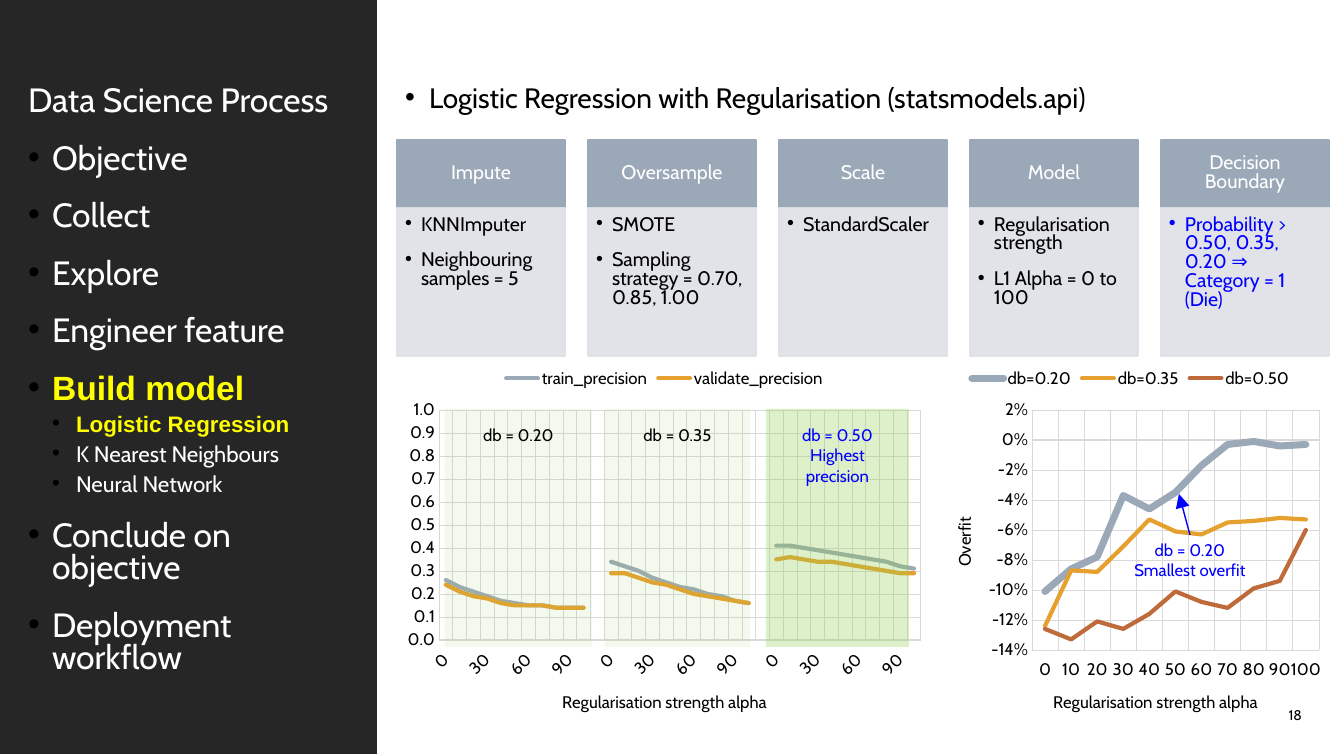
from lxml.etree import SubElement
from pptx import Presentation
from pptx.chart.data import CategoryChartData
from pptx.dml.color import RGBColor
from pptx.enum.chart import XL_CHART_TYPE as ChartType, XL_LEGEND_POSITION as LegendAt
from pptx.enum.chart import XL_TICK_LABEL_POSITION as LabelAt, XL_TICK_MARK as Tick
from pptx.enum.shapes import MSO_CONNECTOR as Connector, MSO_SHAPE as Shape
from pptx.enum.text import MSO_ANCHOR as Anchor, MSO_AUTO_SIZE as AutoSize, PP_ALIGN as Align
from pptx.oxml import parse_xml
from pptx.oxml.ns import nsdecls, qn
from pptx.util import Pt

BLACK = RGBColor(0x00, 0x00, 0x00)
WHITE = RGBColor(0xFF, 0xFF, 0xFF)
CHARCOAL = RGBColor(0x26, 0x26, 0x26)
YELLOW = RGBColor(0xFF, 0xFF, 0x00)
BLUE = RGBColor(0x00, 0x00, 0xFF)
SLATE = RGBColor(0x9B, 0xA8, 0xB7)
PALE = RGBColor(0xDE, 0xE1, 0xE6)
AMBER = RGBColor(0xE6, 0xA0, 0x2E)
RUST = RGBColor(0xBF, 0x6A, 0x3B)
GREEN = RGBColor(0x92, 0xD0, 0x50)
GRID = RGBColor(0xD9, 0xD9, 0xD9)

PLAIN = dict(name="Cabin", color=WHITE, bold=False)
CURRENT = dict(name="Arial", color=YELLOW, bold=True)
STEP = dict(size=24, level=0, indent=24, hang=24, after=18, spacing=0.8)
SUBSTEP = dict(size=16, level=1, indent=48, hang=24, after=6, spacing=0.8)
PROCESS = [
    ("Data Science Process", {**STEP, **PLAIN, "indent": 0, "hang": 0}),
    ("Objective", {**STEP, **PLAIN}),
    ("Collect", {**STEP, **PLAIN}),
    ("Explore", {**STEP, **PLAIN}),
    ("Engineer feature", {**STEP, **PLAIN}),
    ("Build model", {**STEP, **CURRENT, "after": 6}),
    ("Logistic Regression", {**SUBSTEP, **CURRENT}),
    ("K Nearest Neighbours", {**SUBSTEP, **PLAIN}),
    ("Neural Network", {**SUBSTEP, **PLAIN, "after": 18}),
    ("Conclude on objective", {**STEP, **PLAIN}),
    ("Deployment workflow", {**STEP, **PLAIN}),
]
HEADLINE = "Logistic Regression with Regularisation (statsmodels.api)"
STAGES = [
    ("Impute", ["KNNImputer", "Neighbouring samples = 5"], BLACK),
    ("Oversample", ["SMOTE", "Sampling strategy = 0.70, 0.85, 1.00"], BLACK),
    ("Scale", ["StandardScaler"], BLACK),
    ("Model", ["Regularisation strength", "L1 Alpha = 0 to 100"], BLACK),
    ("Decision Boundary", ["Probability > 0.50, 0.35, 0.20 ⇒ Category = 1 (Die)"], BLUE),
]
ALPHAS = [str(alpha) for alpha in range(0, 101, 10)]
ALPHA_TITLE = "Regularisation strength alpha"
PRECISION = [
    ("train_precision", SLATE, 3, [
        0.26, 0.23, 0.21, 0.19, 0.17, 0.16, 0.15, 0.15, 0.14, 0.14, 0.14, None,
        0.34, 0.32, 0.3, 0.27, 0.25, 0.23, 0.22, 0.2, 0.19, 0.17, 0.16, None,
        0.41, 0.41, 0.4, 0.39, 0.38, 0.37, 0.36, 0.35, 0.34, 0.32, 0.31]),
    ("validate_precision", AMBER, 3, [
        0.24, 0.21, 0.19, 0.18, 0.16, 0.15, 0.15, 0.15, 0.14, 0.14, 0.14, None,
        0.29, 0.29, 0.27, 0.25, 0.24, 0.22, 0.2, 0.19, 0.18, 0.17, 0.16, None,
        0.35, 0.36, 0.35, 0.34, 0.34, 0.33, 0.32, 0.31, 0.3, 0.29, 0.29]),
]
OVERFIT = [
    ("db=0.20", SLATE, 5, [-0.101, -0.086, -0.078, -0.037, -0.046, -0.035,
                           -0.017, -0.003, -0.001, -0.004, -0.003]),
    ("db=0.35", AMBER, 3, [-0.124, -0.087, -0.088, -0.071, -0.053, -0.061,
                           -0.063, -0.055, -0.054, -0.052, -0.053]),
    ("db=0.50", RUST, 3, [-0.126, -0.133, -0.121, -0.126, -0.116, -0.101,
                          -0.108, -0.112, -0.099, -0.094, -0.06]),
]
BANDS = [
    (445, 147, 10, ["db = 0.20"], BLACK),
    (605, 145, 10, ["db = 0.35"], BLACK),
    (766, 143, 30, ["db = 0.50", "Highest precision"], BLUE),
]
SMALLEST = ["db = 0.20", "Smallest overfit"]


def px(length):
    return round(length * 914400 / 100.8)


def assign(target, values):
    for key, value in values.items():
        setattr(target, key, value)


def style_font(font, size, color=BLACK, name="Cabin", bold=False):
    assign(font, dict(size=Pt(size), name=name, bold=bold))
    font.color.rgb = color


def write(shape, lines, inset=8, anchor=Anchor.TOP):
    frame = shape.text_frame
    margins = {f"margin_{side}": px(inset) for side in ("left", "top", "right", "bottom")}
    assign(frame, dict(word_wrap=True, auto_size=AutoSize.NONE, vertical_anchor=anchor, **margins))
    for number, (words, look) in enumerate(lines):
        paragraph = frame.add_paragraph() if number else frame.paragraphs[0]
        hang = look.get("hang", 0)
        assign(paragraph, dict(
            alignment=look.get("align", Align.LEFT), level=look.get("level", 0),
            line_spacing=look.get("spacing", 1.0), space_before=Pt(0),
            space_after=Pt(look.get("after", 0))))
        properties = paragraph._p.get_or_add_pPr()
        properties.set("marL", str(px(look.get("indent", 0))))
        properties.set("indent", str(px(-hang)))
        if hang:
            tint = SubElement(properties, qn("a:buClr"))
            SubElement(tint, qn("a:srgbClr"), val=str(look.get("bullet", BLACK)))
            SubElement(properties, qn("a:buFont"), typeface="Arial")
            SubElement(properties, qn("a:buChar"), char="•")
        else:
            SubElement(properties, qn("a:buNone"))
        run = paragraph.add_run()
        run.text = words
        style_font(run.font, look["size"], look["color"], look.get("name", "Cabin"), look.get("bold", False))


def add_box(box, fill, outlined=False, opacity=100):
    shape = slide.shapes.add_shape(Shape.RECTANGLE, *map(px, box))
    shape.shadow.inherit = False
    shape.fill.solid()
    shape.fill.fore_color.rgb = fill
    if outlined:
        shape.line.color.rgb = fill
        shape.line.width = Pt(1.25)
    else:
        shape.line.fill.background()
    if opacity < 100:
        for tint in shape._element.spPr.iter(qn("a:srgbClr")):
            SubElement(tint, qn("a:alpha"), val=str(opacity * 1000))
    return shape


def place(part, index, fractions, inner=False):
    for old in part.findall(qn("c:layout")):
        part.remove(old)
    target = '<c:layoutTarget val="inner"/>' if inner else ""
    modes = "".join(f'<c:{key}Mode val="edge"/>' for key in "xy")
    values = "".join(f'<c:{key} val="{value:.4f}"/>' for key, value in zip("xywh", fractions))
    part.insert(index, parse_xml(
        f'<c:layout {nsdecls("c")}><c:manualLayout>{target}{modes}{values}</c:manualLayout></c:layout>'))


def add_line_chart(box, plot, categories, rows, scale, number_format, titles, label_step=1):
    left, top, width, height = box

    def fractions(x, y, *size):
        return [(x - left) / width, (y - top) / height, *(s / t for s, t in zip(size, (width, height)))]

    data = CategoryChartData()
    data.categories = categories
    for name, _, _, values in rows:
        data.add_series(name, values)
    chart = slide.shapes.add_chart(ChartType.LINE, *map(px, box), data).chart
    assign(chart, dict(has_title=False, has_legend=True))
    style_font(chart.font, 10)
    assign(chart.legend, dict(position=LegendAt.TOP, include_in_layout=False))
    style_font(chart.legend.font, 12)
    chart.plots[0].vary_by_categories = False
    for series, (_, color, weight, _) in zip(chart.plots[0].series, rows):
        series.smooth = False
        series.format.line.color.rgb = color
        series.format.line.width = Pt(weight)
        series.format.line._get_or_add_ln().set("cap", "rnd")
    across, upward = chart.category_axis, chart.value_axis
    for axis, (words, spot, turn) in zip((across, upward), titles):
        assign(axis, dict(has_major_gridlines=True, major_tick_mark=Tick.NONE, minor_tick_mark=Tick.NONE))
        axis.major_gridlines.format.line.color.rgb = GRID
        axis.major_gridlines.format.line.width = Pt(0.5)
        style_font(axis.tick_labels.font, 12)
        if words:
            frame = axis.axis_title.text_frame
            frame.text = words
            style_font(frame.paragraphs[0].runs[0].font, 12)
            frame._txBody.bodyPr.set("rot", str(turn * 60000))
            place(axis.axis_title._element, 1, fractions(*spot))
    across.tick_label_position = LabelAt.LOW
    across.format.line.color.rgb = GRID
    across.format.line.width = Pt(0.75)
    upward.format.line.fill.background()
    assign(upward, dict(zip(("minimum_scale", "maximum_scale", "major_unit"), scale)))
    assign(upward.tick_labels, dict(number_format=number_format, number_format_is_linked=False))
    upward._element.find(qn("c:crosses")).addnext(
        parse_xml(f'<c:crossBetween {nsdecls("c")} val="between"/>'))
    if label_step > 1:
        across._element.find(qn("c:txPr")).find(qn("a:bodyPr")).set("rot", "-2700000")
        across._element.find(qn("c:noMultiLvlLbl")).addprevious(
            parse_xml(f'<c:tickLblSkip {nsdecls("c")} val="{label_step}"/>'))
    place(chart._chartSpace.chart.plotArea, 0, fractions(*plot), inner=True)


deck = Presentation()
deck.slide_width, deck.slide_height = px(1344), px(756)
slide = deck.slides.add_slide(deck.slide_layouts[3])
title, process, headline = slide.placeholders
title._element.getparent().remove(title._element)

sidebar = add_box((0, 0, 377, 754), CHARCOAL)
slide.shapes._spTree.insert(2, sidebar._element)
for holder, box in ((process, (20, 79, 338, 596)), (headline, (397, 79, 913, 596))):
    assign(holder, dict(zip(("left", "top", "width", "height"), map(px, box))))
write(process, PROCESS)
write(headline, [(HEADLINE, dict(size=20, color=BLACK, indent=24, hang=24, after=12, spacing=0.8))])

add_line_chart((932, 357, 397, 377), (1032, 410, 287, 240), ALPHAS, OVERFIT, (-0.14, 0.02, 0.02), "0%",
               [(ALPHA_TITLE, (1050, 688), 0), ("Overfit", (950, 514), -90)])
add_line_chart((397, 357, 535, 377), (439, 410, 482, 230), (ALPHAS + [""]) * 2 + ALPHAS, PRECISION,
               (0, 1, 0.1), "#,##0.0", [(ALPHA_TITLE, (559, 688), 0), (None, None, 0)], label_step=3)

for column, (stage, details, color) in enumerate(STAGES):
    x = 397 + 191 * column
    heading = add_box((x, 140, 168, 67), SLATE, outlined=True)
    write(heading, [(stage, dict(size=14, color=WHITE, align=Align.CENTER, spacing=0.8))], anchor=Anchor.MIDDLE)
    detail_look = dict(size=14, color=color, bullet=color, level=1, indent=16, hang=16, after=12, spacing=0.8)
    write(add_box((x, 208, 168, 148), PALE, outlined=True, opacity=90),
          [(detail, detail_look) for detail in details])

for x, width, opacity, notes, color in BANDS:
    write(add_box((x, 409, width, 238), GREEN, opacity=opacity),
          [(note, dict(size=12, color=color, align=Align.CENTER)) for note in notes], inset=16)

callout = slide.shapes.add_textbox(*map(px, (1111, 536, 158, 59)))
write(callout, [(note, dict(size=12, color=BLUE, align=Align.CENTER)) for note in SMALLEST], inset=4)
arrow = slide.shapes.add_connector(Connector.STRAIGHT, *map(px, (1190, 535, 1179, 494)))
arrow.line.color.rgb = BLUE
arrow.line.width = Pt(1)
SubElement(arrow.line._get_or_add_ln(), qn("a:tailEnd"), type="triangle", w="lg", len="lg")
SubElement(arrow._element.spPr, qn("a:effectLst"))
page = slide.shapes.add_textbox(*map(px, (1264, 695, 46, 39)))
write(page, [("18", dict(size=10, color=BLACK, align=Align.RIGHT))], anchor=Anchor.MIDDLE)

deck.save("out.pptx")
